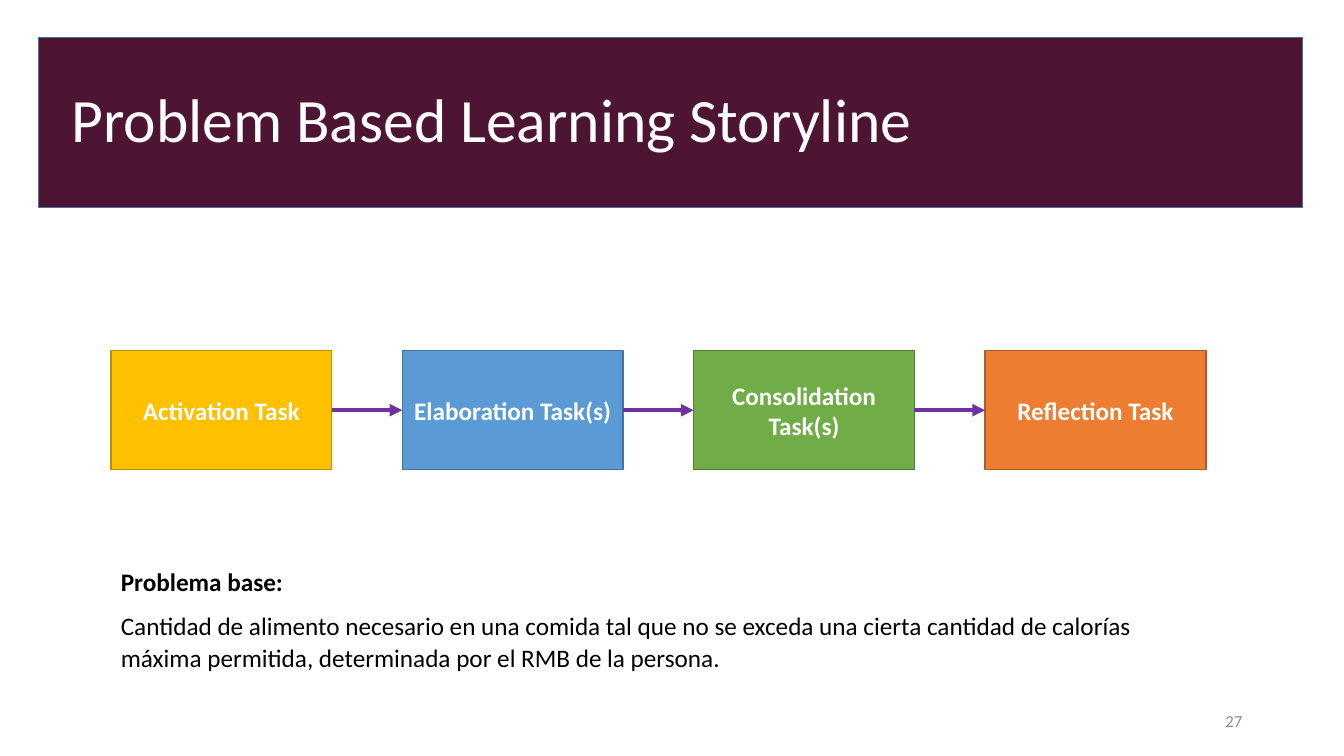
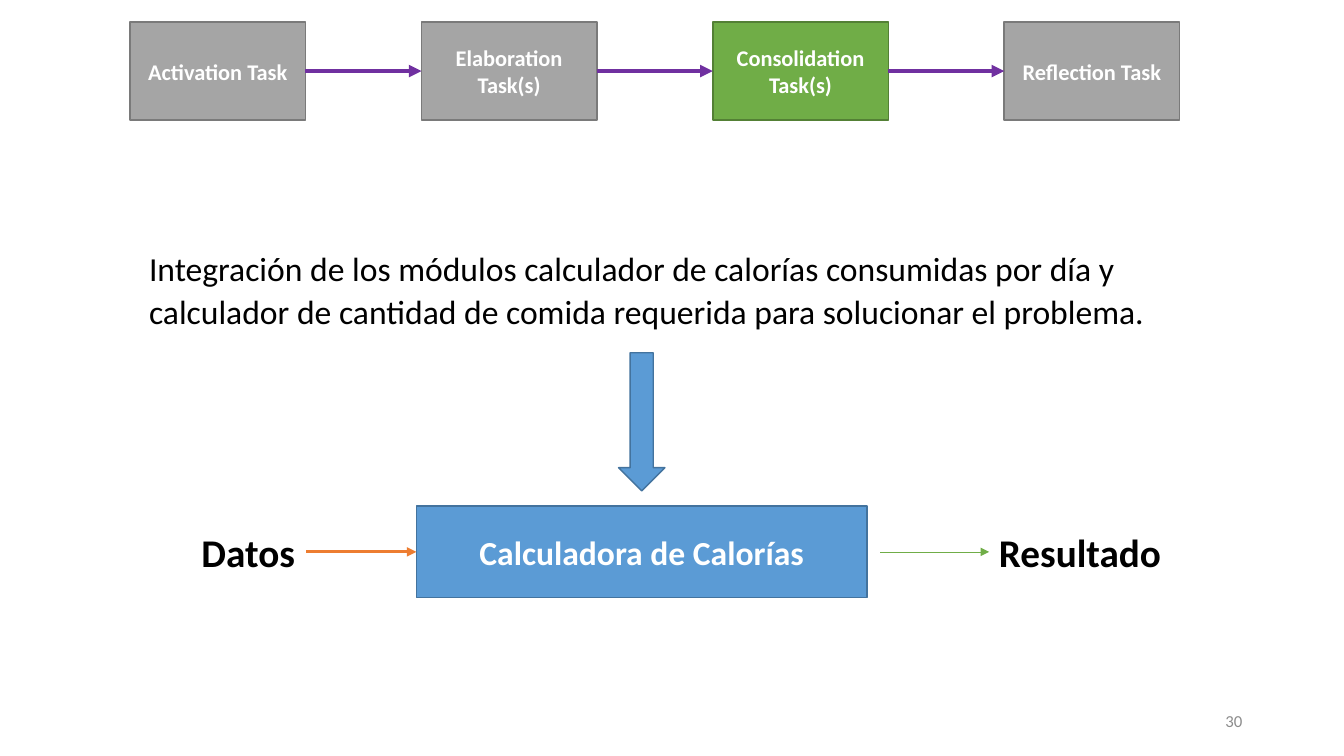
from lxml.etree import SubElement
from pptx import Presentation
from pptx.dml.color import RGBColor
from pptx.enum.shapes import MSO_CONNECTOR, MSO_SHAPE
from pptx.enum.text import MSO_ANCHOR, PP_ALIGN
from pptx.oxml.ns import qn
from pptx.util import Inches, Pt

FONT = "Calibri"
WHITE, BLACK, NUMBER_GRAY = "FFFFFF", "000000", "8C8C8C"
MAROON, PURPLE = "4D1434", "7030A0"
YELLOW = ("FFC000", "BD8E00")
BLUE = ("5B9BD5", "43739E")
GREEN = ("70AD47", "538035")
ORANGE = ("ED7D31", "AF5C24")
GRAY = ("A5A5A5", "7A7A7A")
TASKS = ["Activation Task", "Elaboration Task(s)", "Consolidation Task(s)", "Reflection Task"]
TASK_STEP = 2.89
LEFT_SITE, RIGHT_SITE = 1, 3


def color(value):
    return RGBColor.from_string(value)


def format_para(para, size, value, bold=False, align=PP_ALIGN.LEFT):
    para.alignment = align
    for span in para.runs:
        span.font.name = FONT
        span.font.size = Pt(size)
        span.font.bold = bold
        span.font.color.rgb = color(value)


def add_block(page, kind, left, top, width, height, colors, text="", size=18):
    box = page.shapes.add_shape(kind, Inches(left), Inches(top), Inches(width), Inches(height))
    box.shadow.inherit = False
    box.fill.solid()
    fill, outline = colors
    box.fill.fore_color.rgb = color(fill)
    box.line.color.rgb = color(outline)
    box.line.width = Pt(1)
    if text:
        box.text_frame.text = text
        box.text_frame.word_wrap = True
        box.text_frame.vertical_anchor = MSO_ANCHOR.MIDDLE
        format_para(box.text_frame.paragraphs[0], size, WHITE, True, PP_ALIGN.CENTER)
    return box


def add_text(page, left, top, width, height, text, size, value=BLACK, bold=False,
             align=PP_ALIGN.LEFT, wrap=True):
    box = page.shapes.add_textbox(Inches(left), Inches(top), Inches(width), Inches(height))
    box.text_frame.word_wrap = wrap
    box.text_frame.text = text
    for para in box.text_frame.paragraphs:
        format_para(para, size, value, bold, align)
    return box


def add_body(page, left, top, width, height, text, size):
    box = add_text(page, left, top, width, height, text, size)
    for para in box.text_frame.paragraphs:
        para.line_spacing = 1.07
        para.space_after = Pt(8)
    return box


def add_arrow(page, start, end, y, value, weight):
    arrow = page.shapes.add_connector(
        MSO_CONNECTOR.STRAIGHT, Inches(start), Inches(y), Inches(end), Inches(y))
    arrow.line.color.rgb = color(value)
    arrow.line.width = Pt(weight)
    SubElement(arrow.line._get_or_add_ln(), qn("a:tailEnd"), type="triangle")
    SubElement(arrow._element.spPr, qn("a:effectLst"))
    return arrow


def add_task_chain(page, left, top, width, height, size, palette):
    boxes = [
        add_block(page, MSO_SHAPE.RECTANGLE, left + index * TASK_STEP, top, width, height,
                  colors, task, size)
        for index, (task, colors) in enumerate(zip(TASKS, palette))
    ]
    for index, (source, target) in enumerate(zip(boxes, boxes[1:])):
        start = left + index * TASK_STEP + width
        arrow = add_arrow(page, start, start + TASK_STEP - width, top + height / 2, PURPLE, 3)
        arrow.begin_connect(source, RIGHT_SITE)
        arrow.end_connect(target, LEFT_SITE)


def add_title_band(page, left, top, width, height, text):
    band = add_block(page, MSO_SHAPE.RECTANGLE, left, top, width, height, (MAROON, BLUE[1]))
    title = page.shapes.title
    title._element.addprevious(band._element)
    title.left, title.top = Inches(left + 0.23), Inches(top + 0.29)
    title.width, title.height = Inches(width - 0.48), Inches(height - 0.58)
    title.text_frame.text = text
    title.text_frame.vertical_anchor = MSO_ANCHOR.MIDDLE
    para = title.text_frame.paragraphs[0]
    para.line_spacing = 0.9
    format_para(para, 44, WHITE)


def add_page_number(page, number):
    box = add_text(page, 9.42, 6.95, 3, 0.4, str(number), 12, NUMBER_GRAY, align=PP_ALIGN.RIGHT)
    box.text_frame.vertical_anchor = MSO_ANCHOR.MIDDLE


def add_calculator_flow(page, left, top, width, height):
    middle = top + height / 2
    right = left + width
    add_block(page, MSO_SHAPE.RECTANGLE, left, top, width, height, BLUE,
              "Calculadora de Calorías", 24)
    add_block(page, MSO_SHAPE.DOWN_ARROW, left + width / 2 - 0.23, top - 1.52, 0.46, 1.37, BLUE)
    label_top = middle - 0.285
    add_text(page, left - 2.23, label_top, 1.14, 0.57, "Datos", 28, bold=True, wrap=False)
    add_text(page, right + 1.21, label_top, 1.83, 0.57, "Resultado", 28, bold=True, wrap=False)
    add_arrow(page, left - 1.09, left, middle, ORANGE[0], 2.25)
    add_arrow(page, right + 0.13, right + 1.21, middle, GREEN[0], 0.5)


def build_storyline(deck):
    page = deck.slides.add_slide(deck.slide_layouts.get_by_name("Title Only"))
    add_title_band(page, 0.38, 0.37, 12.54, 1.69, "Problem Based Learning Storyline")
    add_page_number(page, 27)
    add_task_chain(page, 1.1, 3.48, 2.19, 1.18, 18, [YELLOW, BLUE, GREEN, ORANGE])
    problem = add_body(
        page, 1.1, 5.55, 10.86, 1.19,
        "Problema base:\n"
        "Cantidad de alimento necesario en una comida tal que no se exceda una cierta cantidad "
        "de calorías máxima permitida, determinada por el RMB de la persona.", 18)
    problem.text_frame.paragraphs[0].runs[0].font.bold = True


def build_consolidation(deck):
    page = deck.slides.add_slide(deck.slide_layouts.get_by_name("Blank"))
    add_page_number(page, 30)
    add_task_chain(page, 1.29, 0.22, 1.74, 0.97, 16, [GRAY, GRAY, GREEN, GRAY])
    add_body(
        page, 1.38, 2.38, 10.46, 0.97,
        "Integración de los módulos calculador de calorías consumidas por día y calculador "
        "de cantidad de comida requerida para solucionar el problema.", 24)
    add_calculator_flow(page, 4.13, 5.02, 4.47, 0.91)


def main():
    deck = Presentation()
    deck.slide_width, deck.slide_height = Inches(13.33), Inches(7.5)
    build_storyline(deck)
    build_consolidation(deck)
    deck.save("out.pptx")


if __name__ == "__main__":
    main()
